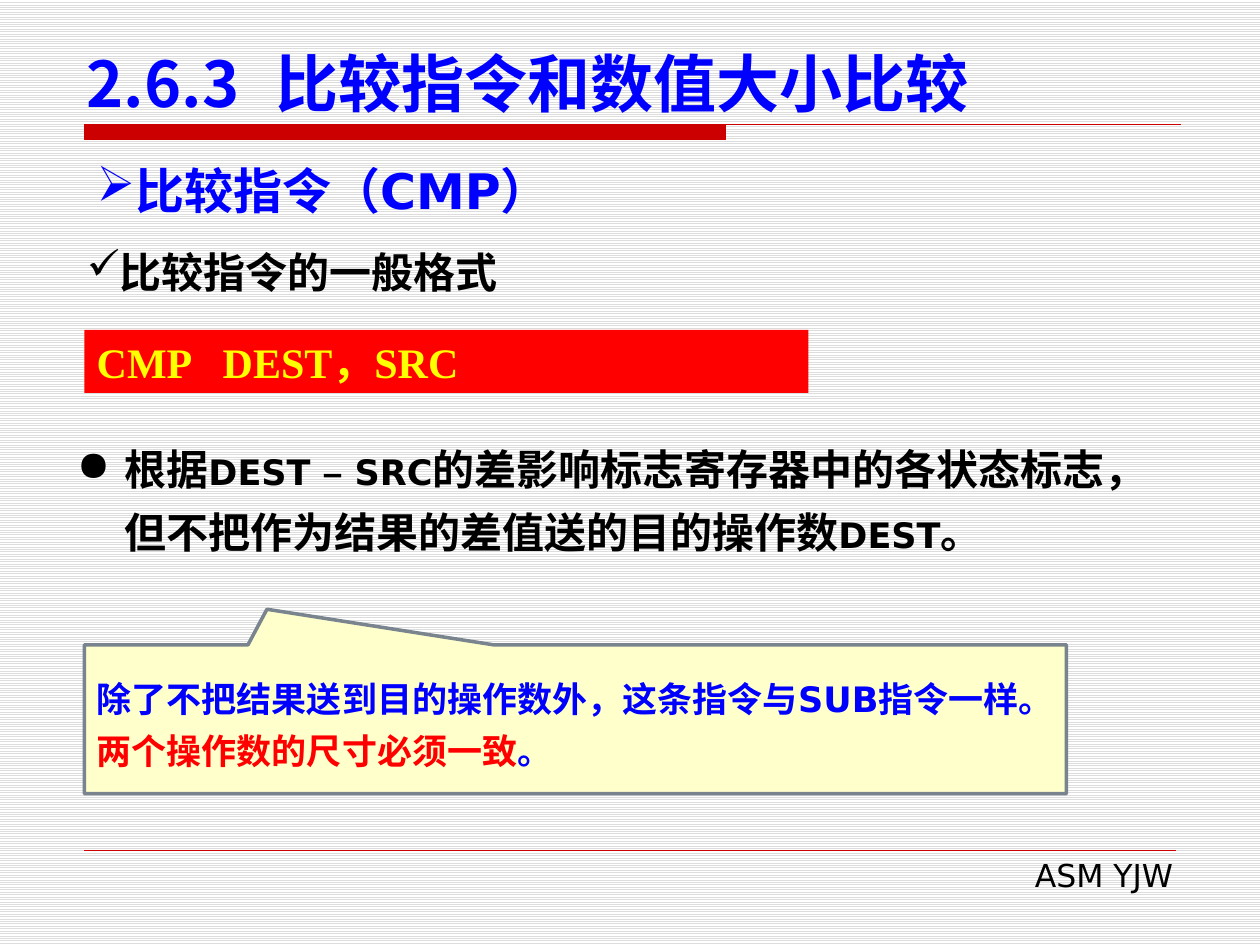
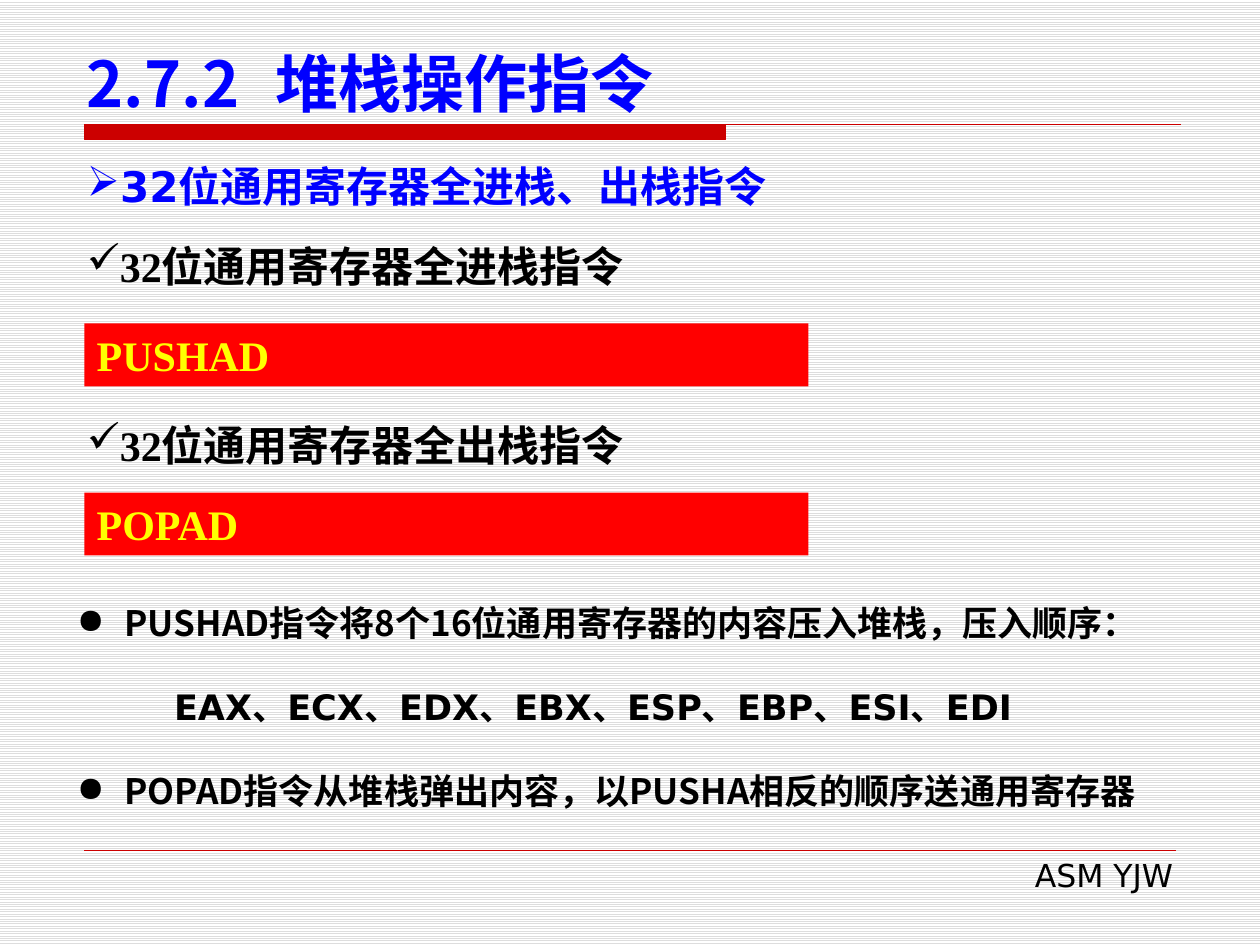
"""Two lecture slides on compare and stack instructions."""
from lxml import etree
from pptx import Presentation
from pptx import util as u
from pptx.dml.color import RGBColor
from pptx.enum import dml, shapes, text
from pptx.oxml.ns import qn

BLUE, RED, BLACK, YELLOW = "0000FF", "FF0000", "000000", "FFFF00"
RULE, CREAM, SLATE = "CC0000", "FFFFCC", "79848F"
SANS, SERIF, CJK = "DejaVu Sans", "Times New Roman", "Noto Sans CJK SC"
LEFT = 1.7           # left edge of rules and filled boxes, in cm
TEXT_LEFT = 1.5      # left edge of headings


def rgb(code):
    """Turn a hex string into a colour."""
    return RGBColor.from_string(code)


def cm(values):
    """Turn a row of centimetre numbers into lengths."""
    return [u.Cm(value) for value in values]


def write(frame, runs, *, size=24, font=SANS, color=BLACK, bold=True,
          align=None, line=None, before=None, bullet=None,
          margin=0, hang=0, tab=None):
    """Add a paragraph; runs is a string or a list of (string, changes)."""
    para = frame.paragraphs[0]
    if para.runs:
        para = frame.add_paragraph()
    para.alignment = align
    if line:
        para.line_spacing = u.Pt(line)
    if before:
        para.space_before = u.Pt(before)
    props = para._p.get_or_add_pPr()
    props.set("marL", str(u.Cm(margin)))
    props.set("indent", str(-u.Cm(hang)))
    if bullet:
        etree.SubElement(props, qn("a:buChar"), char=bullet)
    else:
        etree.SubElement(props, qn("a:buNone"))
    if tab:
        stops = etree.SubElement(props, qn("a:tabLst"))
        etree.SubElement(stops, qn("a:tab"), pos=str(u.Cm(tab)), algn="l")
    for words, changes in [(runs, {})] if isinstance(runs, str) else runs:
        look = dict(size=size, font=font, color=color) | changes
        run = para.add_run()
        run.text = words
        run.font.size = u.Pt(look["size"])
        run.font.bold = bold
        run.font.name = look["font"]
        run.font.color.rgb = rgb(look["color"])
        etree.SubElement(run._r.get_or_add_rPr(), qn("a:ea"), typeface=CJK)


def text_area(slide, box, anchor=text.MSO_ANCHOR.TOP):
    """Add an empty wrapping text box and return its frame."""
    frame = slide.shapes.add_textbox(*cm(box)).text_frame
    frame.word_wrap = True
    frame.vertical_anchor = anchor
    return frame


def filled_box(slide, kind, box, fill, outline=None):
    """Add a flat preset shape with an optional outline."""
    shape = slide.shapes.add_shape(kind, *cm(box))
    shape.shadow.inherit = False
    shape.fill.solid()
    shape.fill.fore_color.rgb = rgb(fill)
    if outline:
        shape.line.color.rgb = rgb(outline)
        shape.line.width = u.Pt(2)
    else:
        shape.line.fill.background()
    shape.text_frame.word_wrap = True
    return shape


def title_rule(slide, box, thick_part=5.09 / 8.7):
    """Draw the band under the title, ending in a thin line."""
    left, top, width, height = box
    bar_end = left + width * thick_part
    builder = slide.shapes.build_freeform(*cm((left, top)))
    builder.add_line_segments(
        [cm(point) for point in ((bar_end, top), (bar_end, top + height),
                                 (left, top + height))], close=True)
    builder.move_to(*cm((left, top)))
    builder.add_line_segments([cm((left + width, top))], close=False)
    rule = builder.convert_to_shape()
    rule.shadow.inherit = False
    rule.fill.solid()
    rule.fill.fore_color.rgb = rgb(RULE)
    rule.line.color.rgb = rgb(RULE)
    rule.line.width = u.Pt(0.75)


def footer(slide, box):
    """Draw the hairline and the right-aligned course mark below it."""
    left, top, width, height = box
    hairline = slide.shapes.add_connector(
        shapes.MSO_CONNECTOR.STRAIGHT, *cm((left, top, left + width, top)))
    hairline.line.color.rgb = rgb(RULE)
    hairline.line.width = u.Pt(0.25)
    etree.SubElement(hairline._element.spPr, qn("a:effectLst"))
    mark = text_area(slide, (left + 8, top, width - 7.8, height))
    write(mark, "ASM YJW", size=18, bold=False, align=text.PP_ALIGN.RIGHT)


def lecture_slide(prs, number, title):
    """Add a slide with its numbered title, rule and footer."""
    slide = prs.slides.add_slide(prs.slide_layouts[6])
    title_rule(slide, (LEFT, 2.51, 22.1, 0.3))
    footer(slide, (LEFT, 17.14, 22, 1.02))
    heading = text_area(slide, (TEXT_LEFT, 0.74, 23, 1.8),
                        text.MSO_ANCHOR.BOTTOM)
    write(heading, f"{number}\t{title}", size=36, font=CJK, color=BLUE,
          tab=3.95)
    return slide


def topic(slide, box, words, size):
    """Write the blue topic line with an arrow bullet."""
    write(text_area(slide, box), words, size=size, color=BLUE, bullet="➢",
          align=text.PP_ALIGN.JUSTIFY)


def instruction(slide, box, caption, code, bar_offset):
    """Write a ticked caption and the red code bar below it."""
    left, top, width, height = box
    write(text_area(slide, box), caption, font=SERIF, bullet="✓")
    bar = filled_box(slide, shapes.MSO_SHAPE.RECTANGLE,
                     (LEFT, top + bar_offset, 14.6, height), RED)
    bar.text_frame.vertical_anchor = text.MSO_ANCHOR.TOP
    write(bar.text_frame, code, font=SERIF, color=YELLOW, tab=2.72,
          align=text.PP_ALIGN.LEFT)


def remark(slide, box):
    """Draw the callout comparing CMP with SUB."""
    callout = filled_box(slide, shapes.MSO_SHAPE.RECTANGULAR_CALLOUT, box,
                         CREAM, SLATE)
    callout.adjustments[0], callout.adjustments[1] = -0.314, -0.739
    callout.text_frame.vertical_anchor = text.MSO_ANCHOR.MIDDLE
    for runs in ("除了不把结果送到目的操作数外，这条指令与SUB指令一样。",
                 [("两个操作数的尺寸必须一致", {"color": RED}), ("。", {})]):
        write(callout.text_frame, runs, size=20, color=BLUE, line=30,
              align=text.PP_ALIGN.LEFT)


NOTE = dict(line=36, before=12)
NOTE_BULLET = dict(NOTE, bullet="●", margin=0.96, hang=0.96)


def compare_slide(prs):
    """Build the slide on the compare instruction."""
    slide = lecture_slide(prs, "2.6.3", "比较指令和数值大小比较")
    topic(slide, (LEFT, 3.12, 22, 1.45), "比较指令（CMP）", 28)
    small = {"size": 20}
    write(text_area(slide, (1.3, 8.56, 22.8, 2.82)),
          [("根据", {}), ("DEST ", small), ("–", small | {"font": "Arial"}),
           (" SRC", small),
           ("的差影响标志寄存器中的各状态标志，但不把作为结果的差值送的目的操作数", {}),
           ("DEST", small), ("。", {})], **NOTE_BULLET)
    instruction(slide, (TEXT_LEFT, 4.85, 22, 1.27), "比较指令的一般格式",
                "CMP\tDEST，SRC", 1.8)
    remark(slide, (LEFT, 13, 19.8, 3))


def stack_slide(prs):
    """Build the slide on pushing and popping all registers."""
    slide = lecture_slide(prs, "2.7.2", "堆栈操作指令")
    topic(slide, (TEXT_LEFT, 3.12, 22, 1.27), "32位通用寄存器全进栈、出栈指令", 24)
    for top, action, code, offset in ((4.72, "进", "PUSHAD", 1.8),
                                      (8.33, "出", "POPAD", 1.6)):
        instruction(slide, (TEXT_LEFT, top, 22, 1.27),
                    f"32位通用寄存器全{action}栈指令", code, offset)
    notes = text_area(slide, (1.3, 11.56, 23.8, 4.95),
                      text.MSO_ANCHOR.MIDDLE)
    write(notes, "PUSHAD指令将8个16位通用寄存器的内容压入堆栈，压入顺序：",
          size=20, font=CJK, **NOTE_BULLET)
    write(notes, "EAX、ECX、EDX、EBX、ESP、EBP、ESI、EDI",
          size=20, margin=1.96, **NOTE)
    write(notes, "POPAD指令从堆栈弹出内容，以PUSHA相反的顺序送通用寄存器",
          size=20, font=CJK, **NOTE_BULLET)


def main():
    """Set up the striped background, build both slides and save."""
    prs = Presentation()
    prs.slide_width, prs.slide_height = cm((25.4, 19.05))
    stripes = prs.slide_master.background.fill
    stripes.patterned()
    stripes.pattern = dml.MSO_PATTERN.LIGHT_HORIZONTAL
    stripes.fore_color.rgb = rgb("DDDDDD")
    stripes.back_color.rgb = rgb("FFFFFF")
    compare_slide(prs)
    stack_slide(prs)
    prs.save("out.pptx")


main()
